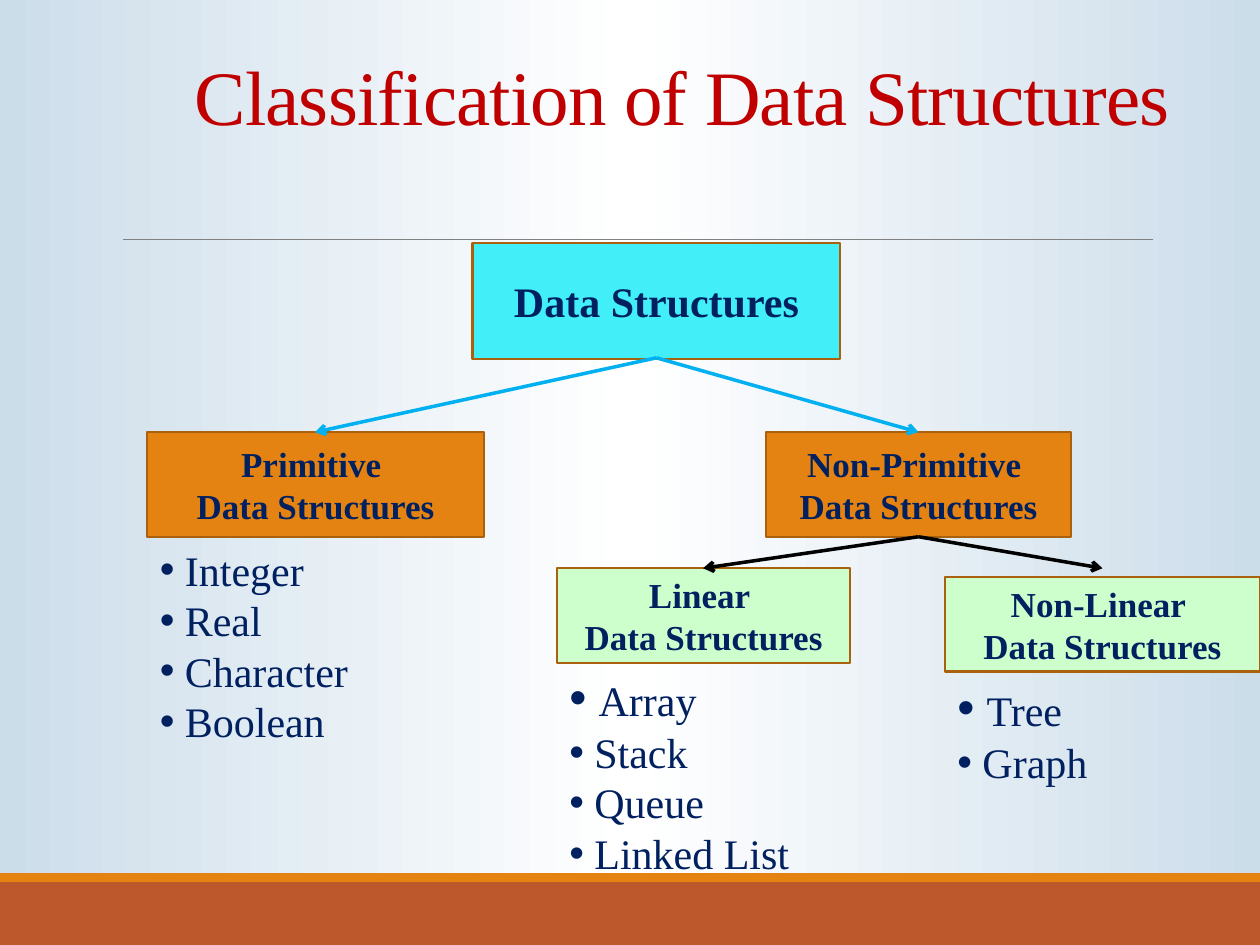
from lxml import etree
from pptx import Presentation
from pptx.dml.color import RGBColor
from pptx.enum import shapes, text
from pptx.oxml import parse_xml
from pptx.oxml.ns import nsdecls, qn
from pptx.util import Inches, Pt

NAVY = RGBColor(0x00, 0x20, 0x60)
RED = RGBColor(0xC0, 0x00, 0x00)
CYAN = RGBColor(0x42, 0xEF, 0xF8)
ORANGE = RGBColor(0xE4, 0x83, 0x12)
RUST = RGBColor(0xBD, 0x58, 0x2C)
BROWN = RGBColor(0xA9, 0x61, 0x0D)
GREEN = RGBColor(0xCC, 0xFF, 0xCC)
GRAY = RGBColor(0x80, 0x80, 0x80)
BLUE = RGBColor(0x00, 0xB0, 0xF0)
BLACK = RGBColor(0x00, 0x00, 0x00)
PALE = "CCDDEA"
WHITE = "FFFFFF"


def add_span(para, wording, size, **extra):
    """Add a run of text in the slide's font."""
    span = para.add_run()
    span.text = wording
    look = {"name": "Times New Roman", "size": Pt(size), **extra}
    span.font.color.rgb = look.pop("color", NAVY)
    for key, value in look.items():
        setattr(span.font, key, value)
    return span


def add_line(start, end, color, width):
    """Add a straight line without a shadow and return it."""
    line = page.shapes.add_connector(
        shapes.MSO_CONNECTOR.STRAIGHT, *(Inches(n) for n in start + end))
    line.line.color.rgb = color
    line.line.width = Pt(width)
    etree.SubElement(line._element.spPr, qn("a:effectLst"))
    return line


deck = Presentation()
deck.slide_width, deck.slide_height = Inches(10), Inches(7.5)
page = deck.slides.add_slide(deck.slide_layouts[6])

# Background gradient
fill = page.background.fill
fill.gradient()
fill.gradient_angle = 0
stop_list = page.background._cSld.find(".//" + qn("a:gsLst"))
for stop in list(stop_list):
    stop_list.remove(stop)
for position, color in ((0, PALE), (50, WHITE), (100, PALE)):
    stop_list.append(parse_xml(
        f'<a:gs {nsdecls("a")} pos="{position * 1000}">'
        f'<a:srgbClr val="{color}"/></a:gs>'))

# Footer bands and rule under the title
for top, height, color in ((7, 0.5, RUST), (6.93, 0.07, ORANGE)):
    band = page.shapes.add_shape(
        shapes.MSO_SHAPE.RECTANGLE, 0, Inches(top), Inches(10), Inches(height))
    band.shadow.inherit = False
    band.fill.solid()
    band.fill.fore_color.rgb = color
    band.line.fill.background()
add_line((0.98, 1.9), (9.15, 1.9), GRAY, 0.5)

# Title
title = page.shapes.add_textbox(Inches(0.83), Inches(0.33), Inches(9.17), Inches(0.84))
title.text_frame.word_wrap = True
title.text_frame.vertical_anchor = text.MSO_ANCHOR.BOTTOM
para = title.text_frame.paragraphs[0]
para.alignment = text.PP_ALIGN.CENTER
span = add_span(para, "Classification of Data Structures", 44, color=RED)
span.font._element.set("spc", "-50")

# Boxes of the tree: kind, left, top, width, height, fill, text size
nodes = (
    ("", 3.75, 1.93, 2.92, 0.92, CYAN, 24),
    ("Primitive ", 1.17, 3.43, 2.67, 0.83, ORANGE, 20),
    ("Non-Primitive ", 6.08, 3.43, 2.42, 0.83, ORANGE, 20),
    ("Linear ", 4.42, 4.51, 2.33, 0.75, GREEN, 20),
    ("Non-Linear ", 7.5, 4.58, 2.5, 0.75, GREEN, 20),
)
for kind, left, top, width, height, color, size in nodes:
    box = page.shapes.add_shape(
        shapes.MSO_SHAPE.RECTANGLE, *(Inches(n) for n in (left, top, width, height)))
    box.shadow.inherit = False
    box.fill.solid()
    box.fill.fore_color.rgb = color
    box.line.color.rgb = BROWN
    box.line.width = Pt(1.25)
    frame = box.text_frame
    frame.vertical_anchor = text.MSO_ANCHOR.MIDDLE
    lines = [kind, "Data Structures"] if kind else ["Data Structures"]
    for index, wording in enumerate(lines):
        para = frame.add_paragraph() if index else frame.paragraphs[0]
        para.alignment = text.PP_ALIGN.CENTER
        add_span(para, wording, size, bold=True)

# Arrows from each parent to its two children
branches = (
    ((5.21, 2.84), ((7.29, 3.43), (2.5, 3.43)), BLUE),
    ((7.29, 4.26), ((5.58, 4.51), (8.75, 4.51)), BLACK),
)
for start, ends, color in branches:
    for end in ends:
        arrow = add_line(start, end, color, 2)
        etree.SubElement(arrow.line._get_or_add_ln(), qn("a:tailEnd"), type="arrow")

# Bulleted examples: left, top, height, size of the first bullet, items
lists = (
    (1.17, 4.27, 1.72, 24, ("Integer", "Real", "Character", "Boolean")),
    (4.42, 5.25, 1.78, 28, ("Array", "Stack", "Queue", "Linked List")),
    (7.5, 5.33, 0.98, 28, ("Tree", "Graph")),
)
for left, top, height, first_size, items in lists:
    box = page.shapes.add_textbox(Inches(left), Inches(top), Inches(2.33), Inches(height))
    frame = box.text_frame
    frame.word_wrap = True
    for index, item in enumerate(items):
        para = frame.add_paragraph() if index else frame.paragraphs[0]
        bullet = para._p.get_or_add_pPr()
        etree.SubElement(bullet, qn("a:buFont"), typeface="Arial")
        etree.SubElement(bullet, qn("a:buChar"), char="•")
        if index == 0 and first_size != 24:
            add_span(para, " ", first_size)
            add_span(para, item, 24)
        else:
            add_span(para, " " + item, 24)

deck.save("out.pptx")
